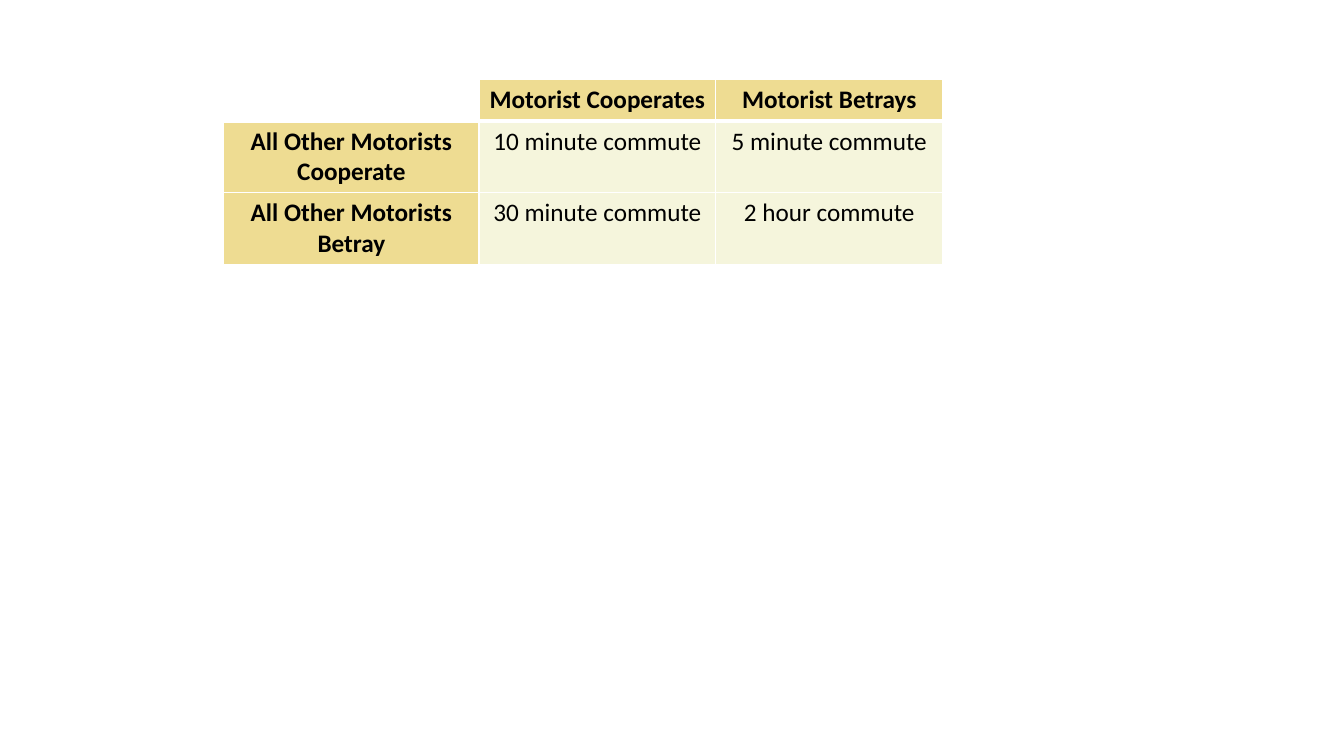
"""Build a slide with the commuting payoff table."""
from lxml import etree
from pptx import Presentation
from pptx.dml.color import RGBColor
from pptx.enum.text import PP_ALIGN
from pptx.oxml.ns import qn
from pptx.util import Inches, Pt

CENTER = PP_ALIGN.CENTER
COLORS = {"label": "EEDC92", "value": "F5F5DC", "text": "000000", "border": "FFFFFF"}
ROWS = [
    ["", "Motorist Cooperates", "Motorist Betrays"],
    ["All Other Motorists Cooperate", "10 minute commute", "5 minute commute"],
    ["All Other Motorists Betray", "30 minute commute", "2 hour commute"],
]
COL_WIDTHS = [2.53, 2.35, 2.25]
ROW_HEIGHTS = [0.41, 0.7, 0.7]
LEFT, TOP = 2.22, 0.79
THIN, THICK = 1, 3


def add_border(cell, side, width):
    """Draw one solid cell border."""
    tc_pr = cell._tc.get_or_add_tcPr()
    ln = etree.SubElement(tc_pr, qn(f"a:ln{side}"), w=str(Pt(width)))
    fill = etree.SubElement(ln, qn("a:solidFill"))
    etree.SubElement(fill, qn("a:srgbClr"), val=COLORS["border"])


def format_cell(cell, text, row, col):
    """Fill in and style one cell by its place in the table."""
    for side in "LRTB":
        under_header = (row, side) in ((0, "B"), (1, "T"))
        add_border(cell, side, THICK if under_header else THIN)
    if not text:
        cell.fill.background()
        return
    is_label = row == 0 or col == 0
    cell.fill.solid()
    cell.fill.fore_color.rgb = RGBColor.from_string(COLORS["label" if is_label else "value"])
    p = cell.text_frame.paragraphs[0]
    p.alignment = CENTER
    r = p.add_run()
    r.text = text
    for name, value in {"name": "Calibri", "size": Pt(18), "bold": is_label}.items():
        setattr(r.font, name, value)
    r.font.color.rgb = RGBColor.from_string(COLORS["text"])


def main():
    """Create and save the presentation."""
    prs = Presentation()
    prs.slide_width, prs.slide_height = Inches(13.33), Inches(7.5)
    s = prs.slides.add_slide(prs.slide_layouts[6])
    table = s.shapes.add_table(
        len(ROWS), len(COL_WIDTHS), Inches(LEFT), Inches(TOP),
        Inches(sum(COL_WIDTHS)), Inches(sum(ROW_HEIGHTS))).table
    for column, width in zip(table.columns, COL_WIDTHS):
        column.width = Inches(width)
    for table_row, height in zip(table.rows, ROW_HEIGHTS):
        table_row.height = Inches(height)
    for row, texts in enumerate(ROWS):
        for col, text in enumerate(texts):
            format_cell(table.cell(row, col), text, row, col)
    prs.save("out.pptx")


if __name__ == "__main__":
    main()
